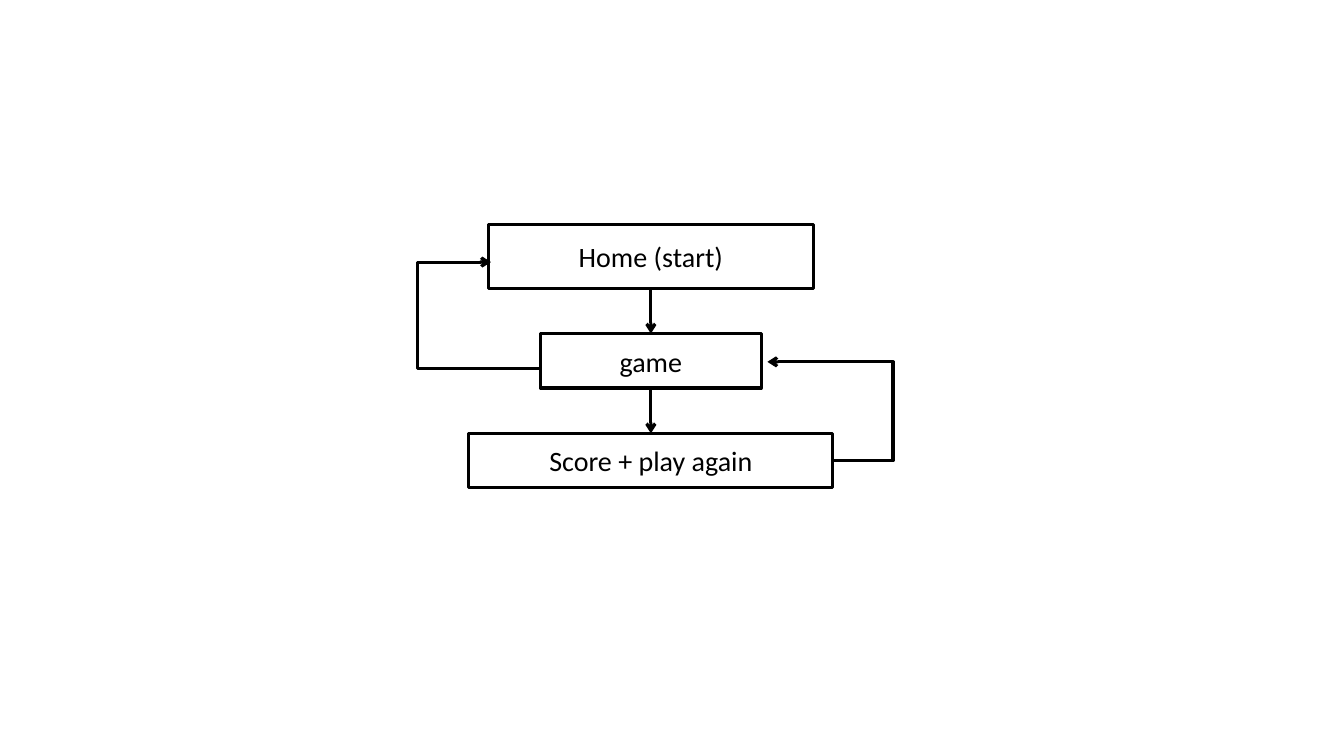
from lxml import etree
from pptx import Presentation
from pptx.dml.color import RGBColor
from pptx.enum.shapes import MSO_CONNECTOR, MSO_SHAPE
from pptx.enum.text import MSO_ANCHOR, PP_ALIGN
from pptx.oxml.ns import qn
from pptx.util import Inches, Pt

STRAIGHT = MSO_CONNECTOR.STRAIGHT
RECTANGLE = MSO_SHAPE.RECTANGLE
MIDDLE = MSO_ANCHOR.MIDDLE
CENTER = PP_ALIGN.CENTER
BLACK = "000000"

deck = Presentation()
deck.slide_width, deck.slide_height = Inches(13.33), Inches(7.5)
page = deck.slides.add_slide(deck.slide_layouts[6])

# The grid has 100 columns and 100 rows
COLUMN = deck.slide_width / 100
ROW = deck.slide_height / 100
AXIS = 48.43
GAP = 6


def draw_outline(shape, arrow=False):
    shape.line.color.rgb = RGBColor.from_string(BLACK)
    shape.line.width = Pt(2.25)
    properties = shape._element.spPr
    if arrow:
        etree.SubElement(properties.find(qn("a:ln")), qn("a:tailEnd"), type="arrow")
    etree.SubElement(properties, qn("a:effectLst"))


# Steps stacked on one axis, each joined to the next by an arrow
steps = [("Home (start)", 24.15, 8.4), ("game", 16.43, 7.2), ("Score + play again", 27.08, 7.2)]
top = 29.73
for index, (label, width, height) in enumerate(steps):
    box = page.shapes.add_shape(
        RECTANGLE,
        round((AXIS - width / 2) * COLUMN), round(top * ROW),
        round(width * COLUMN), round(height * ROW),
    )
    box.fill.background()
    draw_outline(box)
    box.text_frame.vertical_anchor = MIDDLE
    para = box.text_frame.paragraphs[0]
    para.alignment = CENTER
    span = para.add_run()
    span.text = label
    for name, value in {"name": "Calibri", "size": Pt(20)}.items():
        setattr(span.font, name, value)
    span.font.color.rgb = RGBColor.from_string(BLACK)

    bottom = top + height
    top = bottom + GAP
    if index < len(steps) - 1:
        arrow = page.shapes.add_connector(
            STRAIGHT,
            round(AXIS * COLUMN), round(bottom * ROW),
            round(AXIS * COLUMN), round(top * ROW),
        )
        draw_outline(arrow, arrow=True)

# Return paths: start column, turn column, end column, start row, end row
returns = [(40.25, 31.05, 36.53, 48.8, 34.67), (62, 66.45, 57.1, 60.93, 47.87)]
for start, turn, end, start_row, end_row in returns:
    points = [
        (round(column * COLUMN), round(row * ROW))
        for column, row in [(start, start_row), (turn, start_row), (turn, end_row), (end, end_row)]
    ]
    builder = page.shapes.build_freeform(*points[0])
    builder.add_line_segments(points[1:], close=False)
    path_back = builder.convert_to_shape()
    path_back.fill.background()
    draw_outline(path_back, arrow=True)

deck.save("out.pptx")
